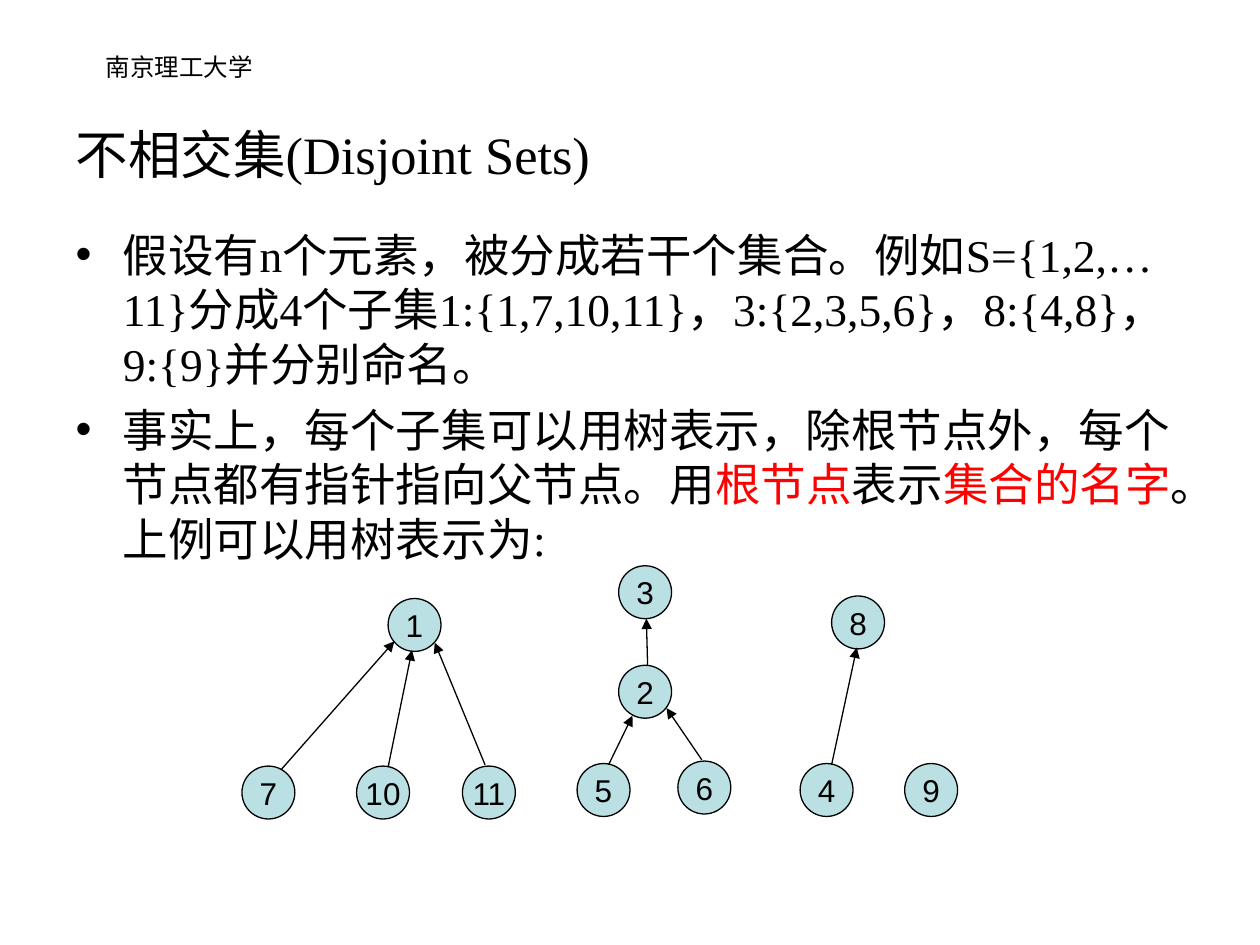
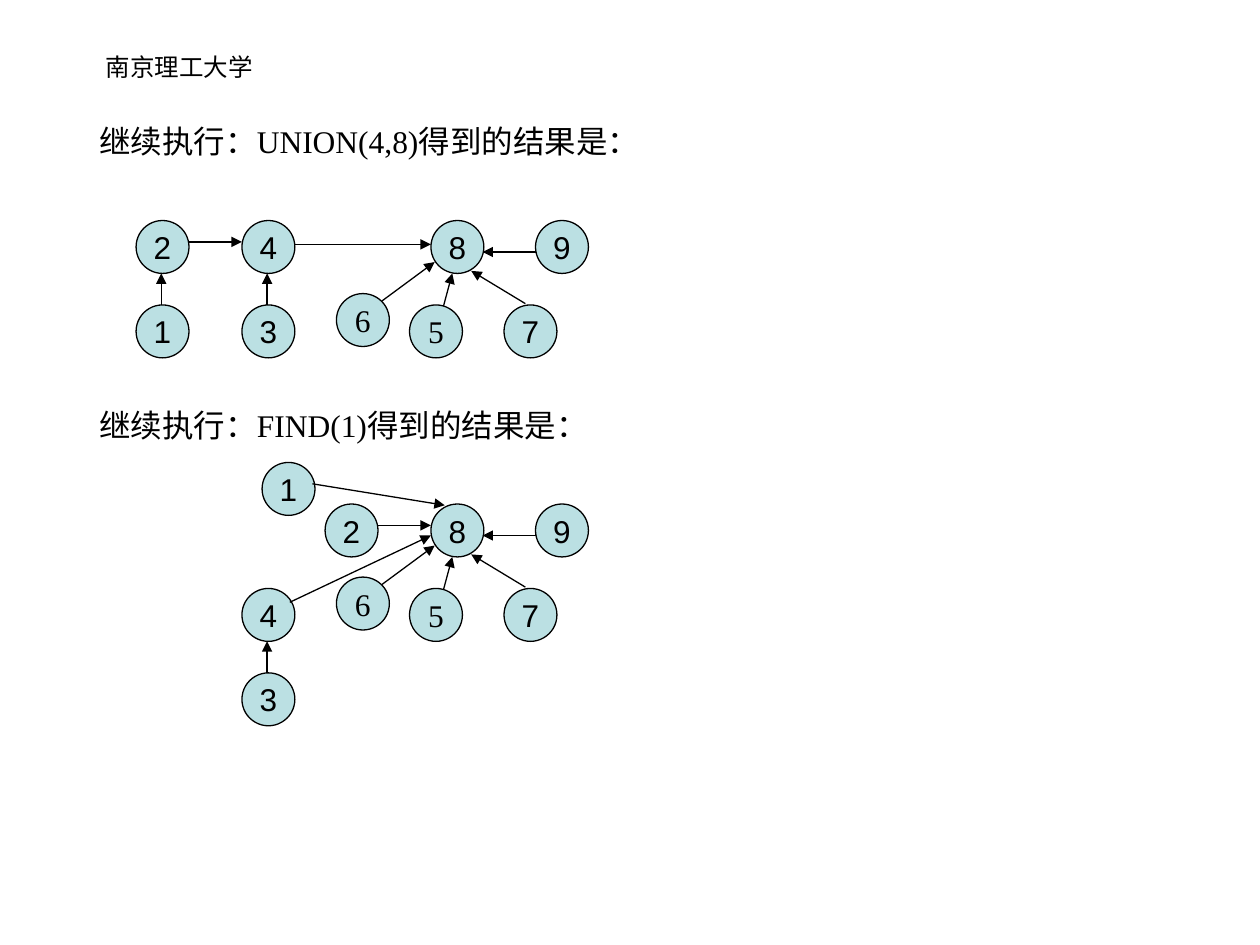
import pptx
import pptx.dml.color
import pptx.enum.shapes
import pptx.enum.text
import pptx.oxml.ns
import pptx.util
from lxml import etree
from pptx.util import Inches

SANS, SERIF = "Arial", "Times New Roman"
BLACK, RED, NODE_FILL = "000000", "FF0000", "BBE0E3"
NODE_SIZE = 0.42
LINE_WIDTH = 0.75

# Trees: node positions and arrows (from x, y, to x, y) in inches from the tree's corner
TREE_OF_1 = (
    {"1": (1.16, 0), "7": (0, 1.33), "10": (0.91, 1.33), "11": (1.75, 1.33)},
    [(0.31, 1.36, 1.21, 0.34), (1.16, 1.34, 1.35, 0.41), (1.93, 1.32, 1.53, 0.35)],
)
TREE_OF_3 = (
    {"3": (0.33, 0), "2": (0.33, 0.79), "5": (0, 1.57), "6": (0.8, 1.55)},
    [(0.25, 1.58, 0.44, 1.19), (0.99, 1.54, 0.71, 1.13), (0.56, 0.79, 0.55, 0.42)],
)
TREES_OF_8_AND_9 = (
    {"8": (0.25, 0), "4": (0, 1.33), "9": (0.83, 1.33)},
    [(0.25, 1.34, 0.45, 0.41)],
)
HUB_OF_8 = (
    {"8": (0.75, 0), "9": (1.58, 0), "6": (0, 0.58), "5": (0.58, 0.67), "7": (1.33, 0.67)},
    [(1.58, 0.25, 1.16, 0.25), (0.36, 0.64, 0.78, 0.33),
     (0.85, 0.68, 0.92, 0.42), (1.5, 0.66, 1.07, 0.4)],
)
UNION_LINKS = ({}, [(0.81, 1, 1.23, 1), (1.65, 1.02, 2.73, 1.02)])
FIND_LINKS = (
    {"1": (1.39, 0.5), "2": (1.89, 0.83)},
    [(1.79, 0.67, 2.84, 0.84), (2.31, 1, 2.73, 1), (1.61, 1.61, 2.73, 1.08)],
)


def pair(parent, child):
    """A child standing under its parent."""
    return {parent: (0, 0), child: (0, 0.67)}, [(0.2, 0.67, 0.2, 0.42)]


def color(hex_string):
    return pptx.dml.color.RGBColor.from_string(hex_string)


def style(paragraph, size, name, align=pptx.enum.text.PP_ALIGN.LEFT):
    paragraph.alignment = align
    paragraph.font.size = pptx.util.Pt(size)
    paragraph.font.name = name
    paragraph.font.color.rgb = color(BLACK)


def place(shape, left, top, width, height):
    shape.left, shape.top = Inches(left), Inches(top)
    shape.width, shape.height = Inches(width), Inches(height)


def add_text(slide, box, text, size, name, wrap, align=pptx.enum.text.PP_ALIGN.LEFT):
    frame = slide.shapes.add_textbox(*map(Inches, box)).text_frame
    frame.word_wrap = wrap
    frame.text = text
    style(frame.paragraphs[0], size, name, align)


def add_node(slide, left, top, label, name):
    node = slide.shapes.add_shape(
        pptx.enum.shapes.MSO_SHAPE.OVAL,
        Inches(left), Inches(top), Inches(NODE_SIZE), Inches(NODE_SIZE))
    node.shadow.inherit = False
    node.fill.solid()
    node.fill.fore_color.rgb = color(NODE_FILL)
    node.line.color.rgb = color(BLACK)
    node.line.width = pptx.util.Pt(LINE_WIDTH)
    frame = node.text_frame
    frame.word_wrap = False
    frame.vertical_anchor = pptx.enum.text.MSO_ANCHOR.MIDDLE
    frame.text = label
    style(frame.paragraphs[0], 18, name, pptx.enum.text.PP_ALIGN.CENTER)


def add_arrow(slide, start_x, start_y, end_x, end_y):
    arrow = slide.shapes.add_connector(
        pptx.enum.shapes.MSO_CONNECTOR.STRAIGHT,
        Inches(start_x), Inches(start_y), Inches(end_x), Inches(end_y))
    arrow.line.color.rgb = color(BLACK)
    arrow.line.width = pptx.util.Pt(LINE_WIDTH)
    qn = pptx.oxml.ns.qn
    properties = arrow._element.spPr
    etree.SubElement(properties.find(qn("a:ln")), qn("a:tailEnd"), type="triangle")
    etree.SubElement(properties, qn("a:effectLst"))


def draw_tree(slide, left, top, tree, serif_labels=()):
    nodes, arrows = tree
    for label, (x, y) in nodes.items():
        add_node(slide, left + x, top + y, label, SERIF if label in serif_labels else SANS)
    for start_x, start_y, end_x, end_y in arrows:
        add_arrow(slide, left + start_x, top + start_y, left + end_x, top + end_y)


def add_slide(presentation, layout_index):
    slide = presentation.slides.add_slide(presentation.slide_layouts[layout_index])
    add_text(slide, (-0.16, 0.36, 3.17, 0.52), "南京理工大学", 14, SANS, True,
             pptx.enum.text.PP_ALIGN.CENTER)
    return slide


def fill_title(title, text):
    place(title, 0.5, 0.59, 9, 1.25)
    title.text_frame.text = text
    title.text_frame.vertical_anchor = pptx.enum.text.MSO_ANCHOR.MIDDLE
    style(title.text_frame.paragraphs[0], 30, SERIF)


def fill_list(body, items):
    place(body, 0.5, 1.75, 9, 4.95)
    frame = body.text_frame
    frame.auto_size = pptx.enum.text.MSO_AUTO_SIZE.NONE
    for index, runs in enumerate(items):
        paragraph = frame.add_paragraph() if index else frame.paragraphs[0]
        paragraph.space_before = pptx.util.Pt(6.5 if index else 0)
        style(paragraph, 26, SERIF)
        for text, run_color in runs:
            run = paragraph.add_run()
            run.text = text
            run.font.color.rgb = color(run_color)


def build_disjoint_sets(presentation):
    slide = add_slide(presentation, 1)
    fill_title(slide.shapes.title, "不相交集(Disjoint Sets)")
    fill_list(slide.placeholders[1], [
        [("假设有n个元素，被分成若干个集合。例如S={1,2,…11}分成4个子集"
          "1:{1,7,10,11}，3:{2,3,5,6}，8:{4,8}，9:{9}并分别命名。", BLACK)],
        [("事实上，每个子集可以用树表示，除根节点外，每个节点都有指针指向父节点。用", BLACK),
         ("根节点", RED), ("表示", BLACK), ("集合的名字", RED),
         ("。上例可以用树表示为:", BLACK)],
    ])
    draw_tree(slide, 1.92, 4.75, TREE_OF_1)
    draw_tree(slide, 4.58, 4.49, TREE_OF_3)
    draw_tree(slide, 6.35, 4.73, TREES_OF_8_AND_9)


def draw_step(slide, left, top, width, heading, trees):
    """A heading with the forest that results from it; every step keeps the hub of 8."""
    add_text(slide, (left, top, width, 0.4), heading, 18, SERIF, False)
    for x, y, tree in [(1.98, 0.83, HUB_OF_8), *trees]:
        draw_tree(slide, left + x, top + y, tree, serif_labels=("5", "6"))


def build_union_find(presentation):
    slide = add_slide(presentation, 6)
    draw_step(slide, 0.69, 0.92, 4.6, "继续执行：UNION(4,8)得到的结果是：", [
        (0.39, 0.83, pair("2", "1")), (1.23, 0.83, pair("4", "3")), (0, 0, UNION_LINKS)])
    draw_step(slide, 0.69, 3.17, 4.19, "继续执行：FIND(1)得到的结果是：", [
        (1.23, 1.5, pair("4", "3")), (0, 0, FIND_LINKS)])


def main():
    presentation = pptx.Presentation()
    presentation.slide_width, presentation.slide_height = Inches(10), Inches(7.5)
    build_disjoint_sets(presentation)
    build_union_find(presentation)
    presentation.save("out.pptx")


if __name__ == "__main__":
    main()
